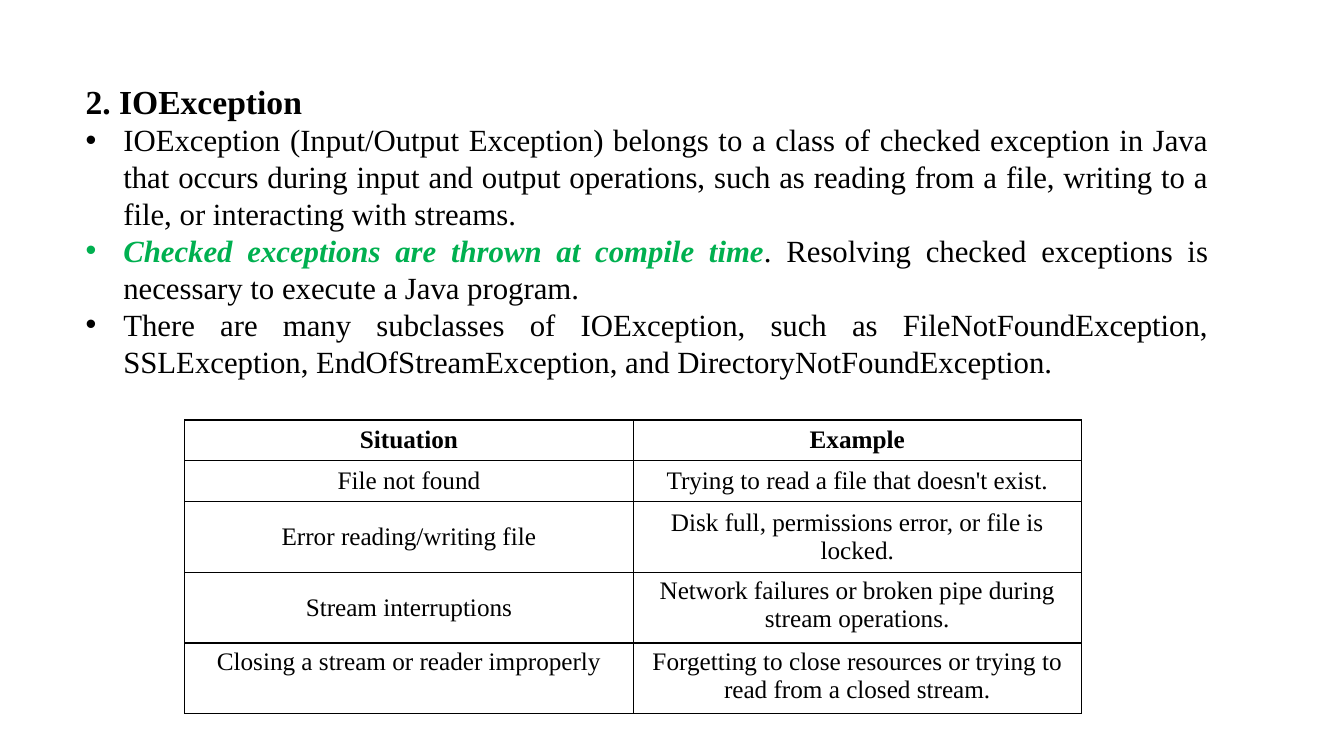
from dataclasses import dataclass

from lxml import etree
from pptx import Presentation
from pptx.dml.color import RGBColor
from pptx.enum.text import MSO_ANCHOR, MSO_AUTO_SIZE, PP_ALIGN
from pptx.oxml.ns import qn
from pptx.util import Emu, Pt

BLACK = RGBColor(0x00, 0x00, 0x00)
GREEN = RGBColor(0x00, 0xB0, 0x50)
FONT = "Times New Roman"
CENTER, JUSTIFY = PP_ALIGN.CENTER, PP_ALIGN.JUSTIFY
TOP, MIDDLE = MSO_ANCHOR.TOP, MSO_ANCHOR.MIDDLE
FIT_SHAPE = MSO_AUTO_SIZE.SHAPE_TO_FIT_TEXT

BULLET_INDENT = 36
COLUMN_WIDTH = 427
ONE_LINE, TWO_LINES = 39, 67


def px(length: int) -> Emu:
    return Emu(length * 9525)


@dataclass(frozen=True)
class Span:
    text: str
    size: int = 22
    color: RGBColor = BLACK
    bold: bool = False
    italic: bool = False


@dataclass(frozen=True)
class Paragraph:
    spans: tuple[Span, ...]
    bullet: bool = True


@dataclass(frozen=True)
class Row:
    situation: str
    example: str
    height: int = TWO_LINES
    anchors: tuple = (MIDDLE, MIDDLE)
    bold: bool = False


PARAGRAPHS = (
    Paragraph((Span("2. IOException", size=24, bold=True),), bullet=False),
    Paragraph((Span(
        "IOException (Input/Output Exception) belongs to a class of checked "
        "exception in Java that occurs during input and output operations, such as "
        "reading from a file, writing to a file, or interacting with streams."),)),
    Paragraph((
        Span("Checked exceptions are thrown at compile time",
             color=GREEN, bold=True, italic=True),
        Span(". Resolving checked exceptions is necessary to execute a Java program."),
    )),
    Paragraph((Span(
        "There are many subclasses of IOException, such as FileNotFoundException, "
        "SSLException, EndOfStreamException, and DirectoryNotFoundException."),)),
)

ROWS = (
    Row("Situation", "Example", ONE_LINE, bold=True),
    Row("File not found", "Trying to read a file that doesn't exist.", ONE_LINE),
    Row("Error reading/writing file",
        "Disk full, permissions error, or file is locked."),
    Row("Stream interruptions",
        "Network failures or broken pipe during stream operations.",
        anchors=(MIDDLE, TOP)),
    Row("Closing a stream or reader improperly",
        "Forgetting to close resources or trying to read from a closed stream.",
        anchors=(TOP, TOP)),
)


def add_span(para, span: Span) -> None:
    run = para.add_run()
    run.text = span.text
    font = run.font
    font.name, font.size = FONT, Pt(span.size)
    font.bold, font.italic = span.bold, span.italic
    font.color.rgb = span.color


def add_bullet(para) -> None:
    properties = para._p.get_or_add_pPr()
    properties.set("marL", str(px(BULLET_INDENT)))
    properties.set("indent", str(-px(BULLET_INDENT)))
    etree.SubElement(properties, qn("a:buFont"), typeface="Arial")
    etree.SubElement(properties, qn("a:buChar"), char="•")


def add_body(page, left: int, top: int, width: int, height: int) -> None:
    box = page.shapes.add_textbox(px(left), px(top), px(width), px(height))
    frame = box.text_frame
    frame.word_wrap = True
    frame.auto_size = FIT_SHAPE
    for index, paragraph in enumerate(PARAGRAPHS):
        para = frame.add_paragraph() if index else frame.paragraphs[0]
        para.alignment = JUSTIFY
        if paragraph.bullet:
            add_bullet(para)
        for span in paragraph.spans:
            add_span(para, span)


def add_borders(cell) -> None:
    properties = cell._tc.get_or_add_tcPr()
    for side in ("lnL", "lnR", "lnT", "lnB"):
        line = etree.SubElement(properties, qn(f"a:{side}"), w=str(Pt(1)))
        fill = etree.SubElement(line, qn("a:solidFill"))
        etree.SubElement(fill, qn("a:srgbClr"), val=str(BLACK))


def add_situations(page, left: int, top: int) -> None:
    height = sum(row.height for row in ROWS)
    table = page.shapes.add_table(
        len(ROWS), 2, px(left), px(top), px(2 * COLUMN_WIDTH), px(height)).table
    table.first_row = table.horz_banding = False
    for column in table.columns:
        column.width = px(COLUMN_WIDTH)
    for row, table_row in zip(ROWS, table.rows):
        table_row.height = px(row.height)
        texts = (row.situation, row.example)
        for cell, text, anchor in zip(table_row.cells, texts, row.anchors):
            add_borders(cell)
            cell.fill.background()
            cell.vertical_anchor = anchor
            para = cell.text_frame.paragraphs[0]
            para.alignment = CENTER
            add_span(para, Span(text, size=18, bold=row.bold))


def main() -> None:
    deck = Presentation()
    deck.slide_width, deck.slide_height = px(1280), px(720)
    page = deck.slides.add_slide(deck.slide_layouts[6])
    add_body(page, 72, 72, 1088, 298)
    add_situations(page, 176, 400)
    deck.save("out.pptx")


if __name__ == "__main__":
    main()
